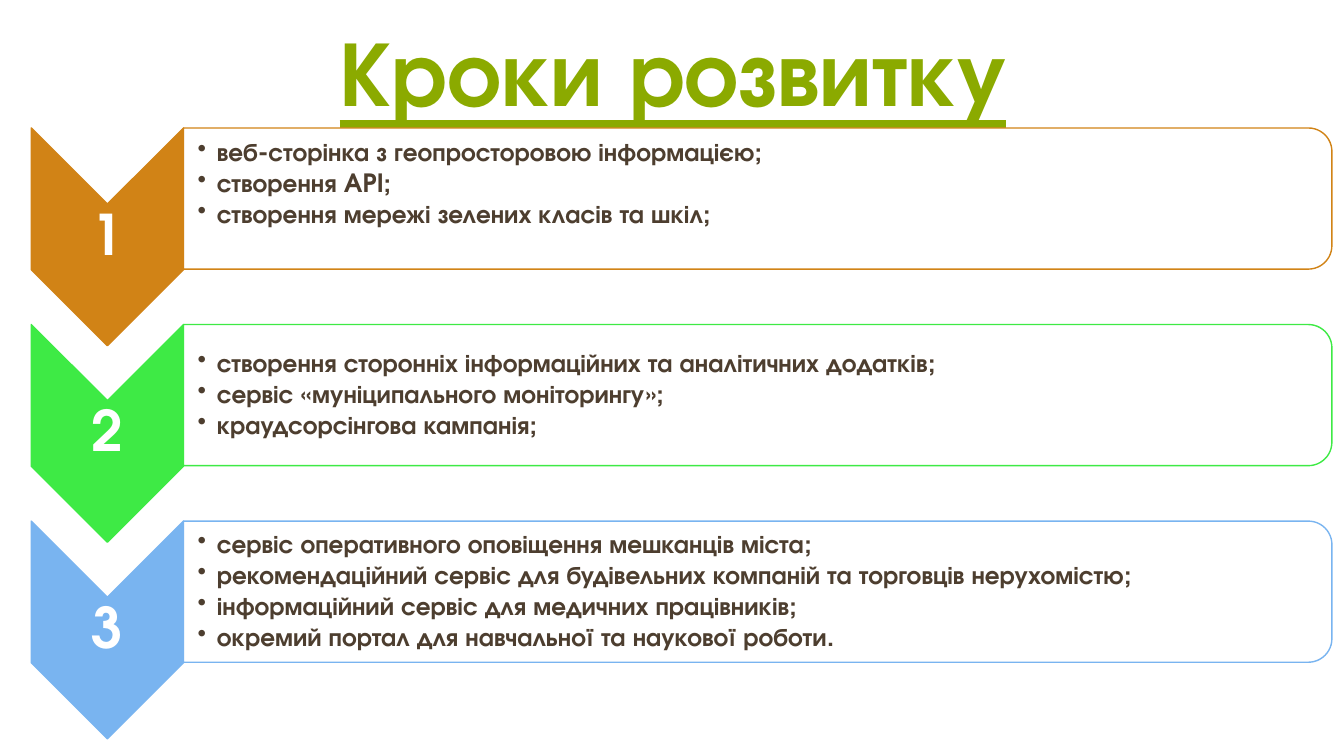
"""Build a slide with three numbered development steps."""
from dataclasses import dataclass

from lxml.etree import SubElement
from pptx import Presentation
from pptx.dml.color import RGBColor
from pptx.enum.shapes import MSO_SHAPE as SHAPE
from pptx.enum.text import MSO_ANCHOR as ANCHOR, MSO_AUTO_SIZE as AUTO, PP_ALIGN as ALIGN
from pptx.oxml.ns import qn
from pptx.util import Inches, Pt


@dataclass(frozen=True)
class Theme:
    """Hold the font, colours and type sizes."""
    font: str = "TeX Gyre Adventor"
    title: str = "8BAA00"
    text: str = "4D3E2F"
    white: str = "FFFFFF"
    steps: tuple = ("D18316", "3EEA45", "79B4F0")
    title_size: int = 66
    number_size: int = 40
    list_size: int = 18


THEME = Theme()
TOP, PITCH = 1.27, 1.95
CHEVRON_LEFT, CHEVRON_W, CHEVRON_H = 0.31, 1.51, 2.16
PANEL_LEFT, PANEL_W, PANEL_H = 1.82, 11.39, 1.4
NUMBER_H, LIST_W, LIST_H = 0.65, 11.32, 1.26
INDENT = 0.19

STEPS = (
    (("веб-сторінка з геопросторовою інформацією;",
      "створення API;",
      "створення мережі зелених класів та шкіл;"), 0.3),
    (("створення сторонніх інформаційних та аналітичних додатків;",
      "сервіс «муніципального моніторингу»;",
      "краудсорсінгова кампанія;"), 0.01),
    (("сервіс оперативного оповіщення мешканців міста;",
      "рекомендаційний сервіс для будівельних компаній та торговців нерухомістю;",
      "інформаційний сервіс для медичних працівників;",
      "окремий портал для навчальної та наукової роботи."), 0.01),
)


def style(p, size, color):
    """Format the runs of a paragraph."""
    for r in p.runs:
        r.font.name = THEME.font
        r.font.size = Pt(size)
        r.font.bold = True
        r.font.color.rgb = RGBColor.from_string(color)


def add_title(s, text):
    """Fill and place the title placeholder."""
    sp = s.shapes.title
    sp.left, sp.top, sp.width, sp.height = map(Inches, (1.55, 0, 10.25, 1.29))
    tf = sp.text_frame
    tf.text = text
    tf.auto_size = AUTO.NONE
    tf.vertical_anchor = ANCHOR.BOTTOM
    p = tf.paragraphs[0]
    p.alignment = ALIGN.CENTER
    style(p, THEME.title_size, THEME.title)
    p.runs[0].font.underline = True


def add_turned(s, kind, left, top, width, height, fill, line):
    """Add a shape turned clockwise that covers the given area."""
    shift = (width - height) / 2
    sp = s.shapes.add_shape(kind, Inches(left + shift), Inches(top - shift),
                            Inches(height), Inches(width))
    sp.rotation = 90
    sp.shadow.inherit = False
    sp.fill.solid()
    sp.fill.fore_color.rgb = RGBColor.from_string(fill)
    sp.line.color.rgb = RGBColor.from_string(line)
    sp.line.width = Pt(1)
    return sp


def set_opacity(sp, percent):
    """Make a solid fill partly transparent."""
    color = sp.fill._xPr.find(qn("a:solidFill"))[0]
    SubElement(color, qn("a:alpha"), val=str(percent * 1000))


def add_text(s, left, top, width, height, margins):
    """Add a wrapping, vertically centred text box."""
    tf = s.shapes.add_textbox(*map(Inches, (left, top, width, height))).text_frame
    tf.word_wrap = True
    tf.vertical_anchor = ANCHOR.MIDDLE
    tf.margin_left, tf.margin_top, tf.margin_right, tf.margin_bottom = map(Inches, margins)
    return tf


def add_bullet(p):
    """Give a paragraph a bullet and a hanging indent."""
    pPr = p._p.get_or_add_pPr()
    pPr.set("marL", str(Inches(INDENT)))
    pPr.set("indent", str(-Inches(INDENT)))
    SubElement(pPr, qn("a:buChar"), char="•")


def add_number(s, top, number):
    """Add the step number centred on its chevron."""
    tf = add_text(s, CHEVRON_LEFT, top + (CHEVRON_H - NUMBER_H) / 2,
                  CHEVRON_W, NUMBER_H, (0.03,) * 4)
    tf.text = str(number)
    p = tf.paragraphs[0]
    p.alignment = ALIGN.CENTER
    p.line_spacing = 0.9
    style(p, THEME.number_size, THEME.white)


def add_list(s, top, items, bottom):
    """Add the bulleted list of a step."""
    tf = add_text(s, PANEL_LEFT, top + (PANEL_H - LIST_H) / 2,
                  LIST_W, LIST_H, (0.14, 0.01, 0.01, bottom))
    tf.text = "\n".join(items)
    for p in tf.paragraphs:
        add_bullet(p)
        p.line_spacing = 0.9
        p.space_after = Pt(2.7)
        style(p, THEME.list_size, THEME.text)


def add_step(s, index, items, bottom):
    """Add one step: chevron, number, panel and list."""
    top, color = TOP + index * PITCH, THEME.steps[index]
    add_turned(s, SHAPE.CHEVRON, CHEVRON_LEFT, top, CHEVRON_W, CHEVRON_H, color, color)
    add_number(s, top, index + 1)
    panel = add_turned(s, SHAPE.ROUND_2_SAME_RECTANGLE, PANEL_LEFT, top,
                       PANEL_W, PANEL_H, THEME.white, color)
    set_opacity(panel, 90)
    add_list(s, top, items, bottom)


def main():
    """Build and save the slide."""
    prs = Presentation()
    prs.slide_width, prs.slide_height = Inches(13.33), Inches(7.5)
    s = prs.slides.add_slide(prs.slide_layouts[5])
    add_title(s, "Кроки розвитку")
    for index, (items, bottom) in enumerate(STEPS):
        add_step(s, index, items, bottom)
    prs.save("out.pptx")


if __name__ == "__main__":
    main()
